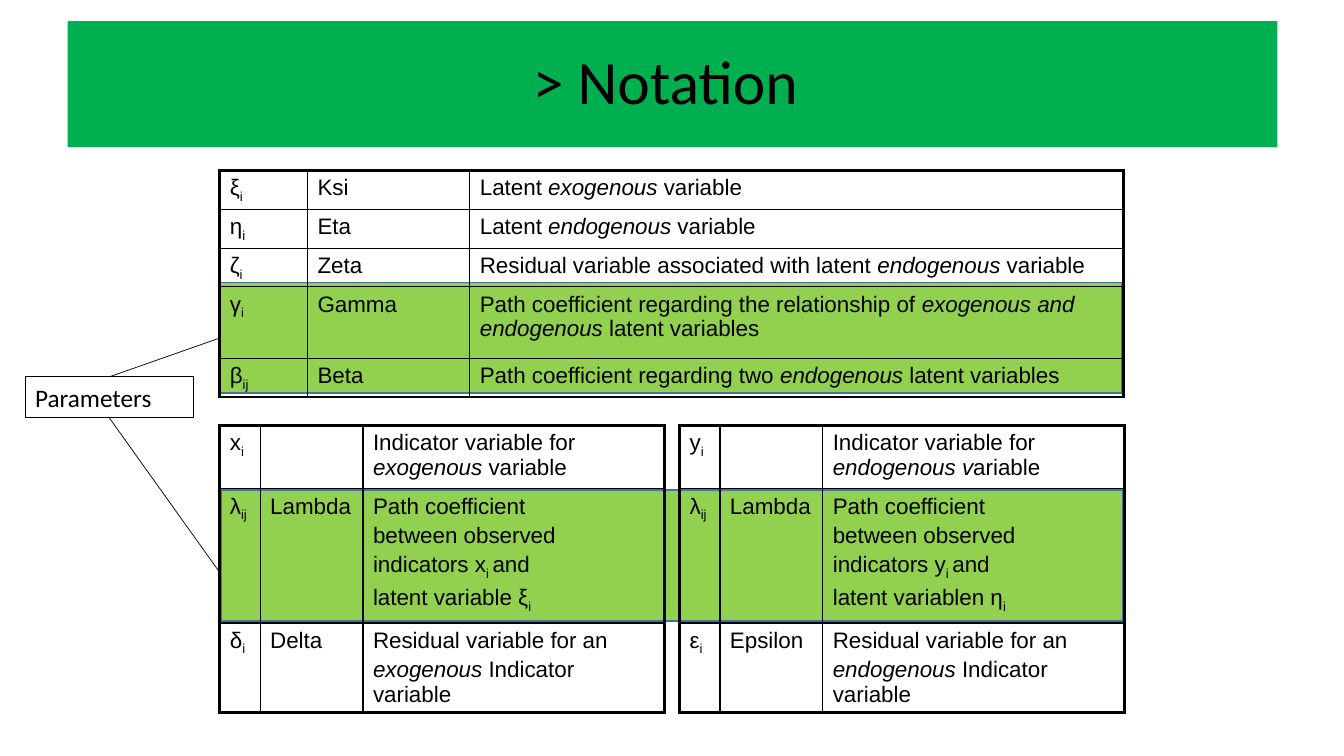
"""Build the notation slide: three symbol tables with the parameters highlighted."""
from lxml import etree
from pptx import Presentation
from pptx.dml.color import RGBColor
from pptx.enum.shapes import MSO_CONNECTOR as Connector, MSO_SHAPE as Shape
from pptx.enum.text import MSO_ANCHOR as Anchor, MSO_AUTO_SIZE as AutoSize, PP_ALIGN as Align
from pptx.oxml.ns import qn
from pptx.util import Inches, Pt

TITLE = "> Notation "
PARAMETERS = "Parameters"
BLACK, TITLE_GREEN, PARAMETER_GREEN, BAND_EDGE = "000000", "00B050", "92D050", "43739E"

# Asterisks enclose italics, tildes enclose subscripts.
LATENT = [
    ("ξ~i~", "Ksi", "Latent *exogenous* variable"),
    ("η~i~", "Eta", "Latent *endogenous* variable"),
    ("ζ~i~", "Zeta", "Residual variable associated with latent *endogenous* variable"),
    ("γ~i~", "Gamma", "Path coefficient regarding the relationship of "
                      "*exogenous and endogenous* latent variables"),
    ("β~ij~", "Beta", "Path coefficient regarding two *endogenous* latent variables"),
]
EXOGENOUS = [
    ("x~i~", "", "Indicator variable for *exogenous *variable"),
    ("λ~ij~", "Lambda", "Path coefficient\nbetween observed\n"
                        "indicators x~i ~and\nlatent variable ξ~i~"),
    ("δ~i~", "Delta", "Residual variable for an\n*exogenous *Indicator variable"),
]
ENDOGENOUS = [
    ("y~i~", "", "Indicator variable for *endogenous v*ariable"),
    ("λ~ij~", "Lambda", "Path coefficient\nbetween observed\n"
                        "indicators y~i ~and\nlatent variablen η~i~"),
    ("ε~i~", "Epsilon", "Residual variable for an\n*endogenous *Indicator variable"),
]

INDICATOR_COLUMNS, INDICATOR_ROWS = (0.4, 1.02, 2.99), (0.63, 1.33, 0.69)
TABLES = [
    (LATENT, 2.18, 1.69, (0.87, 1.61, 6.48), (0.39, 0.37, 0.37, 0.71, 0.37)),
    (EXOGENOUS, 2.18, 4.22, INDICATOR_COLUMNS, INDICATOR_ROWS),
    (ENDOGENOUS, 6.74, 4.22, INDICATOR_COLUMNS, INDICATOR_ROWS),
]
BANDS = [(2.2, 4.86, 8.94, 1.3), (2.19, 2.8, 8.94, 1.1)]
LABEL_BOX = (0.25, 3.74, 1.67, 0.4)
POINTERS = [(1.08, 3.74, 2.19, 3.35), (1.08, 4.14, 2.18, 5.68)]


def color(value):
    return RGBColor.from_string(value)


def inches(lengths):
    return [Inches(length) for length in lengths]


def write(frame, text, size=16, font="Arial", align=None, before=None, spacing=None):
    for number, line in enumerate(text.split("\n")):
        paragraph = frame.add_paragraph() if number else frame.paragraphs[0]
        paragraph.alignment = align
        paragraph.space_before = before
        paragraph.line_spacing = spacing
        for italic, phrase in enumerate(line.split("*")):
            for lowered, piece in enumerate(phrase.split("~")):
                if not piece:
                    continue
                run = paragraph.add_run()
                run.text = piece
                run.font.size, run.font.name = Pt(size), font
                run.font.color.rgb = color(BLACK)
                run.font.italic = bool(italic % 2)
                if lowered % 2:
                    run.font._element.set("baseline", "-25000")


def set_borders(cell, widths):
    properties = cell._tc.get_or_add_tcPr()
    for place, (side, width) in enumerate(zip("LRTB", widths)):
        border = etree.Element(qn(f"a:ln{side}"), w=str(Pt(width)))
        fill = etree.SubElement(border, qn("a:solidFill"))
        etree.SubElement(fill, qn("a:srgbClr"), val=BLACK)
        properties.insert(place, border)


def add_symbols(slide, symbols, left, top, columns, rows):
    box = inches((left, top, sum(columns), sum(rows)))
    table = slide.shapes.add_table(len(rows), len(columns), *box).table
    table.first_row = table.horz_banding = False
    for column, width in zip(table.columns, columns):
        column.width = Inches(width)
    for r, (height, entries) in enumerate(zip(rows, symbols)):
        table.rows[r].height = Inches(height)
        for c, entry in enumerate(entries):
            cell = table.cell(r, c)
            cell.fill.background()
            outer = (c == 0, c == len(columns) - 1, r == 0, r == len(rows) - 1)
            set_borders(cell, [2.25 if edge else 1 for edge in outer])
            write(cell.text_frame, entry, before=Pt(3.2))


def add_band(slide, box):
    band = slide.shapes.add_shape(Shape.RECTANGLE, *inches(box))
    band.shadow.inherit = False
    band.fill.solid()
    band.fill.fore_color.rgb = color(PARAMETER_GREEN)
    band.line.color.rgb = color(BAND_EDGE)
    band.line.width = Pt(1)


def add_title(slide):
    title = slide.shapes.title
    title.left, title.top, title.width, title.height = inches((0.67, 0.21, 12, 1.25))
    title.fill.solid()
    title.fill.fore_color.rgb = color(TITLE_GREEN)
    title.text_frame.vertical_anchor = Anchor.MIDDLE
    write(title.text_frame, TITLE, size=44, font="Calibri", align=Align.CENTER, spacing=0.9)


def add_label(slide):
    label = slide.shapes.add_textbox(*inches(LABEL_BOX))
    label.line.color.rgb = color(BLACK)
    label.line.width = Pt(0.75)
    label.text_frame.word_wrap = True
    label.text_frame.auto_size = AutoSize.SHAPE_TO_FIT_TEXT
    write(label.text_frame, PARAMETERS, size=18, font="Calibri")


def add_pointer(slide, ends):
    pointer = slide.shapes.add_connector(Connector.STRAIGHT, *inches(ends))
    pointer.line.color.rgb = color(BLACK)
    pointer.line.width = Pt(0.5)
    etree.SubElement(pointer._element.spPr, qn("a:effectLst"))


def main():
    deck = Presentation()
    deck.slide_width, deck.slide_height = inches((13.33, 7.5))
    slide = deck.slides.add_slide(deck.slide_layouts[5])
    for box in BANDS:
        add_band(slide, box)
    add_title(slide)
    for table in TABLES:
        add_symbols(slide, *table)
    add_label(slide)
    for ends in POINTERS:
        add_pointer(slide, ends)
    deck.save("out.pptx")


if __name__ == "__main__":
    main()
